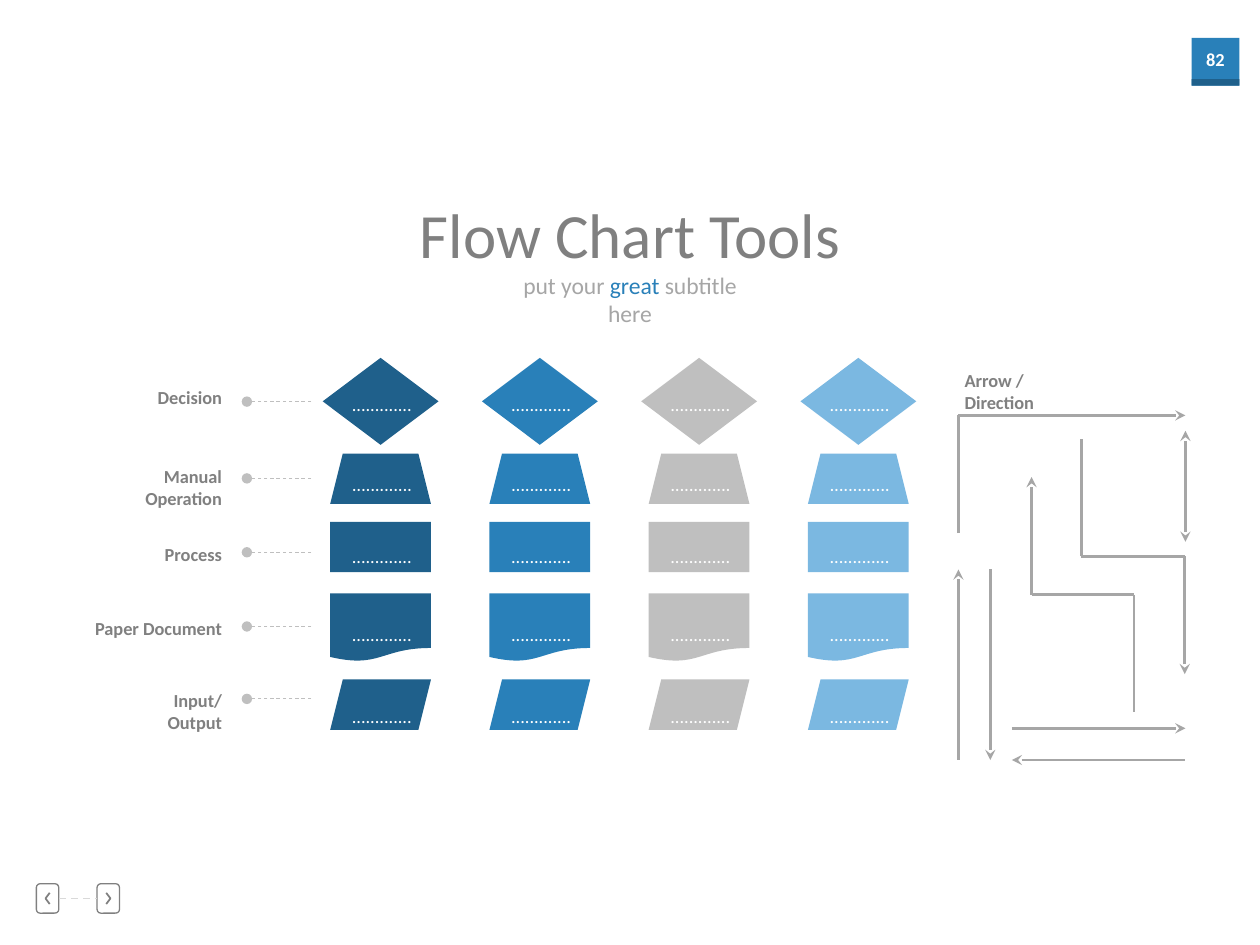
"""Build a slide of flow chart shapes, labels and direction arrows."""
from dataclasses import dataclass

from lxml.etree import SubElement
from pptx import Presentation
from pptx.dml.color import RGBColor
from pptx.enum.dml import MSO_LINE
from pptx.enum.shapes import MSO_CONNECTOR, MSO_SHAPE
from pptx.enum.text import MSO_ANCHOR, MSO_AUTO_SIZE, PP_ALIGN
from pptx.oxml.ns import qn
from pptx.util import Pt

FONT = "Calibri"
NAVY, BLUE, SILVER, SKY = "1F608B", "2980B9", "BFBFBF", "7BB8E1"
WHITE, GRAY, MID_GRAY, PALE_GRAY = "FFFFFF", "808080", "A6A6A6", "D9D9D9"
COLUMN_COLORS = (NAVY, BLUE, SILVER, SKY)
COLUMN_LEFT, COLUMN_PITCH, COLUMN_WIDTH = 188.7, 91, 57.6
DOTS = "............."
DOTS_WIDTH, TEXT_HEIGHT = 49, 20
LABEL_RIGHT, LEADER_START, LEADER_END = 133.9, 177.8, 141.1


@dataclass(frozen=True)
class Row:
    label: str
    kind: MSO_SHAPE
    top: float
    height: float
    dots_top: float
    leader_y: float
    label_top: float
    width: float = COLUMN_WIDTH
    label_width: float = 90
    dots_rotation: float = 0


@dataclass(frozen=True)
class Line:
    x1: float
    y1: float
    x2: float
    y2: float
    head: str = ""
    tail: str = ""
    color: str = MID_GRAY
    weight: float = 1.5
    dash: MSO_LINE | None = None


ROWS = (
    Row("Decision", MSO_SHAPE.DIAMOND, 204.5, 49.7, 221, 229.5, 217.4, width=66.2),
    Row("Manual Operation", MSO_SHAPE.TRAPEZOID, 259.2, 28.8, 273.6, 273.4, 262.1,
        dots_rotation=180),
    Row("Process", MSO_SHAPE.RECTANGLE, 298.2, 28.8, 308.2, 315.6, 306.7),
    Row("Paper Document", MSO_SHAPE.FLOWCHART_DOCUMENT, 339.1, 38.9, 352.8, 358, 349.2),
    Row("Input/Output", MSO_SHAPE.PARALLELOGRAM, 388.3, 28.8, 399.6, 399.4, 390.4,
        label_width=71),
)

ARROWS = (
    Line(547.7, 304.6, 547.7, 237.4),
    Line(547.7, 237.4, 677.4, 237.4, tail="stealth"),
    Line(617.9, 318, 617.9, 250.8),
    Line(617.9, 318, 677, 318),
    Line(677, 385.2, 677, 318, head="stealth"),
    Line(547.7, 325.4, 547.7, 434.3, head="stealth"),
    Line(578.2, 434.3, 677.4, 434.3, head="stealth"),
    Line(578.2, 416.2, 677.4, 416.2, tail="stealth"),
    Line(565.9, 325.4, 565.9, 434.3, tail="stealth"),
    Line(589.5, 339.8, 589.5, 272.6, tail="stealth"),
    Line(589.5, 339.8, 648, 339.8),
    Line(648, 406.8, 648, 339.8),
    Line(677.4, 309.6, 677.4, 246.2, head="stealth", tail="stealth"),
)


def rgb(color: str) -> RGBColor:
    return RGBColor.from_string(color)


def format_font(font, size: float, color: str, bold: bool = False) -> None:
    font.name, font.size, font.bold = FONT, Pt(size), bold
    font.color.rgb = rgb(color)


def place(shape, left: float, top: float, width: float, height: float) -> None:
    shape.left, shape.top = Pt(left), Pt(top)
    shape.width, shape.height = Pt(width), Pt(height)


def add_text(slide, text: str, left: float, top: float, width: float, color: str,
             align=PP_ALIGN.CENTER, bold: bool = False, wrap: bool = False):
    box = slide.shapes.add_textbox(Pt(left), Pt(top), Pt(width), Pt(TEXT_HEIGHT))
    box.text_frame.word_wrap = wrap
    para = box.text_frame.paragraphs[0]
    para.text, para.alignment = text, align
    format_font(para.font, 10.5, color, bold)
    return box


def add_block(slide, kind, left: float, top: float, width: float, height: float,
              color: str) -> None:
    block = slide.shapes.add_shape(kind, Pt(left), Pt(top), Pt(width), Pt(height))
    block.shadow.inherit = False
    block.fill.solid()
    block.fill.fore_color.rgb = rgb(color)
    block.line.fill.background()


def add_line(slide, line: Line):
    connector = slide.shapes.add_connector(
        MSO_CONNECTOR.STRAIGHT, Pt(line.x1), Pt(line.y1), Pt(line.x2), Pt(line.y2))
    connector.line.color.rgb = rgb(line.color)
    connector.line.width = Pt(line.weight)
    if line.dash:
        connector.line.dash_style = line.dash
    outline = connector.line._get_or_add_ln()
    for tag, end in (("a:headEnd", line.head), ("a:tailEnd", line.tail)):
        if end:
            SubElement(outline, qn(tag), type=end)
    SubElement(connector._element.spPr, qn("a:effectLst"))
    return connector


def outline_only(shape, weight: float) -> None:
    shape.shadow.inherit = False
    shape.fill.background()
    shape.line.color.rgb = rgb(GRAY)
    shape.line.width = Pt(weight)


def add_button(slide, left: float, direction: int):
    button = slide.shapes.add_shape(
        MSO_SHAPE.ROUNDED_RECTANGLE, Pt(left), Pt(505), Pt(12.8), Pt(16.8))
    outline_only(button, 0.75)
    center_x, center_y = left + 6.4, 513.4
    back = center_x - 1.2 * direction
    builder = slide.shapes.build_freeform(Pt(back), Pt(center_y - 3.2))
    builder.add_line_segments(
        [(Pt(center_x + 1.2 * direction), Pt(center_y)), (Pt(back), Pt(center_y + 3.2))],
        close=False)
    outline_only(builder.convert_to_shape(), 1)
    return button


def add_navigation(slide) -> None:
    add_block(slide, MSO_SHAPE.RECTANGLE, 680.9, 21.6, 27.3, 27.3, BLUE)
    add_block(slide, MSO_SHAPE.RECTANGLE, 680.9, 45.2, 27.3, 3.7, NAVY)
    add_text(slide, "82", 680.9, 23.9, 27.3, WHITE, bold=True)
    previous, following = add_button(slide, 20.8, -1), add_button(slide, 55.5, 1)
    link = add_line(slide, Line(33.6, 513.4, 55.5, 513.4, color=PALE_GRAY, weight=1,
                                dash=MSO_LINE.DASH))
    link.begin_connect(previous, 3)
    link.end_connect(following, 1)


def add_headings(slide) -> None:
    title, subtitle = slide.placeholders
    place(title, 229.4, 108, 261.2, 51)
    place(subtitle, 280.5, 151.2, 159, 40)
    for holder in (title, subtitle):
        holder.text_frame.auto_size = MSO_AUTO_SIZE.NONE
        holder.text_frame.vertical_anchor = MSO_ANCHOR.TOP
    title.text_frame.text = "Flow Chart Tools"
    title_para = title.text_frame.paragraphs[0]
    title_para.alignment = PP_ALIGN.CENTER
    format_font(title_para.font, 36, GRAY)
    para = subtitle.text_frame.paragraphs[0]
    para.alignment, para.space_before = PP_ALIGN.CENTER, Pt(0)
    format_font(para.font, 13.5, MID_GRAY)
    for text, color in (("put your ", MID_GRAY), ("great", BLUE),
                        (" subtitle here", MID_GRAY)):
        span = para.add_run()
        span.text = text
        span.font.color.rgb = rgb(color)


def add_row(slide, row: Row) -> None:
    for column, color in enumerate(COLUMN_COLORS):
        left = COLUMN_LEFT + column * COLUMN_PITCH
        add_block(slide, row.kind, left + (COLUMN_WIDTH - row.width) / 2, row.top,
                  row.width, row.height, color)
        dots = add_text(slide, DOTS, left + 5, row.dots_top, DOTS_WIDTH, WHITE)
        dots.rotation = row.dots_rotation
    add_line(slide, Line(LEADER_START, row.leader_y, LEADER_END, row.leader_y,
                         tail="oval", color=SILVER, weight=0.5, dash=MSO_LINE.DASH))
    add_text(slide, row.label, LABEL_RIGHT - row.label_width, row.label_top,
             row.label_width, GRAY, PP_ALIGN.RIGHT, bold=True, wrap=True)


def main() -> None:
    deck = Presentation()
    deck.slide_width, deck.slide_height = Pt(720), Pt(540)
    page = deck.slides.add_slide(deck.slide_layouts[0])
    add_navigation(page)
    add_headings(page)
    for row in ROWS:
        add_row(page, row)
    for arrow in ARROWS:
        add_line(page, arrow)
    add_text(page, "Arrow / Direction", 544.1, 207.4, 84, GRAY, PP_ALIGN.LEFT,
             bold=True, wrap=True)
    deck.save("out.pptx")


if __name__ == "__main__":
    main()
